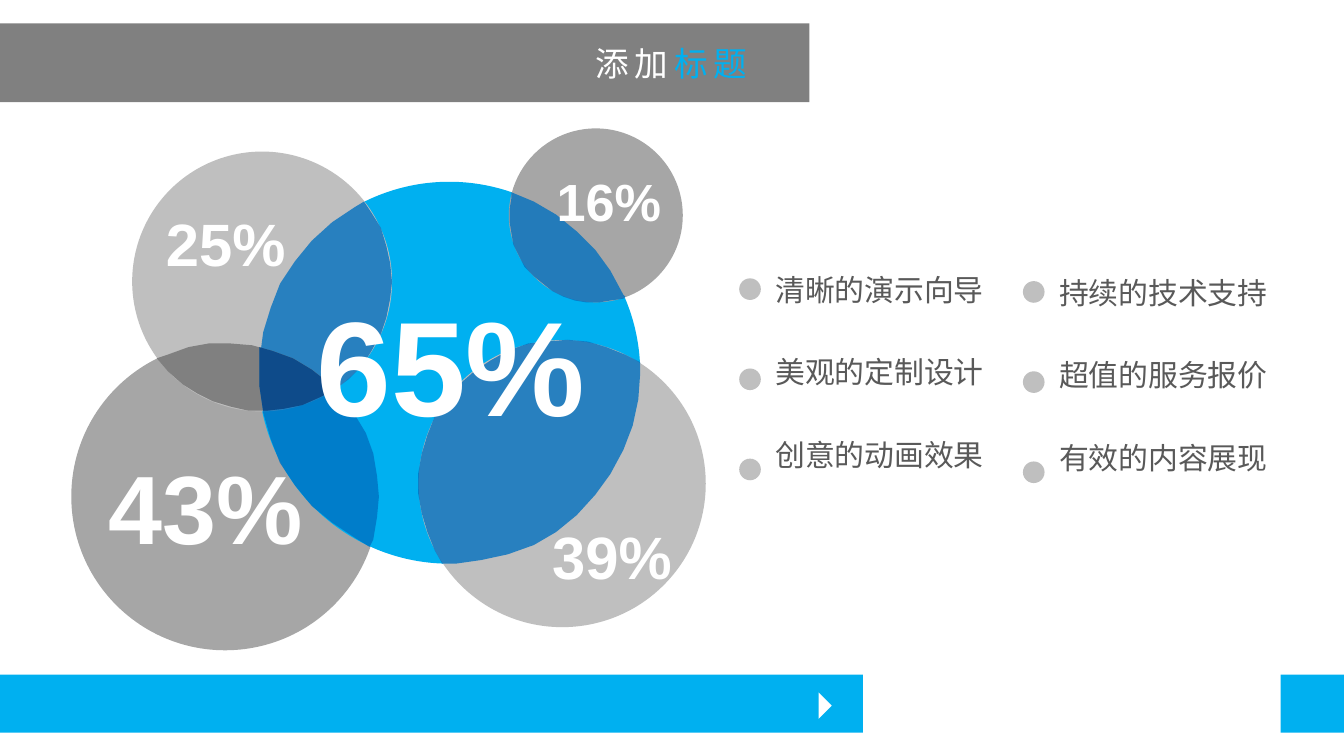
from collections import namedtuple
from itertools import combinations
from math import atan2, cos, hypot, radians, sin, sqrt

from lxml import etree
from pptx import Presentation
from pptx.dml.color import RGBColor
from pptx.enum.shapes import MSO_SHAPE
from pptx.enum.text import MSO_ANCHOR, MSO_AUTO_SIZE, PP_ALIGN
from pptx.oxml.ns import qn
from pptx.util import Pt

RECTANGLE = MSO_SHAPE.RECTANGLE
OVAL = MSO_SHAPE.OVAL
RIGHT_TRIANGLE = MSO_SHAPE.RIGHT_TRIANGLE
TOP = MSO_ANCHOR.TOP
MIDDLE = MSO_ANCHOR.MIDDLE
NO_AUTOFIT = MSO_AUTO_SIZE.NONE
CENTER = PP_ALIGN.CENTER
JUSTIFY = PP_ALIGN.JUSTIFY

WHITE = RGBColor(0xFF, 0xFF, 0xFF)
SKY = RGBColor(0x00, 0xB0, 0xF0)
BLUE = RGBColor(0x00, 0x70, 0xC0)
NAVY = RGBColor(0x00, 0x20, 0x60)
DARK_GRAY = RGBColor(0x80, 0x80, 0x80)
GRAY = RGBColor(0xA6, 0xA6, 0xA6)
LIGHT_GRAY = RGBColor(0xBF, 0xBF, 0xBF)
TEXT_GRAY = RGBColor(0x59, 0x59, 0x59)

LATIN_FONT = "Arial"
CHINESE_FONT = "Noto Sans CJK SC"

Circle = namedtuple("Circle", "x y radius")
CIRCLE_43 = Circle(120.6, 266, 82.4)
CIRCLE_65 = Circle(240.7, 199.7, 102.3)
CIRCLE_39 = Circle(301.2, 259.1, 76.9)
CIRCLE_16 = Circle(319.2, 115.4, 46.6)
CIRCLE_25 = Circle(140.4, 150.8, 69.6)
ARC_STEP = 8

PERCENTAGES = [
    ("43%", 52, 33.1, 236.2, 154.1, 69.1),
    ("16%", 28, 284.4, 87.1, 83.5, 38.9),
    ("39%", 32, 275, 275, 105.8, 46.1),
    ("25%", 32, 73.4, 107.3, 95, 43.9),
    ("65%", 72, 154.8, 147.6, 173.5, 94.3),
]

COLUMNS = [
    (396, 141.8, ["清晰的演示向导", "美观的定制设计", "创意的动画效果"]),
    (548, 143.3, ["持续的技术支持", "超值的服务报价", "有效的内容展现"]),
]
ROW_PITCH = 48.3
DOT_SIZE = 11.6


def paint(shape, color, opacity=100):
    shape.shadow.inherit = False
    shape.fill.solid()
    shape.fill.fore_color.rgb = color
    shape.line.fill.background()
    if opacity < 100:
        fill_color = shape.element.spPr.find(qn("a:solidFill"))[0]
        alpha = etree.SubElement(fill_color, qn("a:alpha"))
        alpha.set("val", str(opacity * 1000))


def add_block(slide, kind, left, top, width, height, color):
    shape = slide.shapes.add_shape(kind, Pt(left), Pt(top), Pt(width), Pt(height))
    paint(shape, color)
    return shape


def add_circle(slide, circle, color):
    size = 2 * circle.radius
    left, top = circle.x - circle.radius, circle.y - circle.radius
    add_block(slide, OVAL, left, top, size, size, color)


def arc_points(circle):
    for degrees in range(0, 360, ARC_STEP):
        angle = radians(degrees)
        yield (
            circle.x + circle.radius * cos(angle),
            circle.y + circle.radius * sin(angle),
        )


def crossings(first, second):
    dx, dy = second.x - first.x, second.y - first.y
    distance = hypot(dx, dy)
    along = (first.radius**2 - second.radius**2 + distance**2) / (2 * distance)
    across = sqrt(first.radius**2 - along**2)
    for side in (across, -across):
        yield (
            first.x + (along * dx - side * dy) / distance,
            first.y + (along * dy + side * dx) / distance,
        )


def overlap_outline(circles):
    candidates = [((c,), point) for c in circles for point in arc_points(c)]
    for pair in combinations(circles, 2):
        candidates += [(pair, point) for point in crossings(*pair)]
    points = [
        (x, y)
        for owners, (x, y) in candidates
        if all(
            hypot(x - c.x, y - c.y) <= c.radius for c in circles if c not in owners
        )
    ]
    middle_x = sum(x for x, y in points) / len(points)
    middle_y = sum(y for x, y in points) / len(points)
    return sorted(points, key=lambda p: atan2(p[1] - middle_y, p[0] - middle_x))


def add_overlap(slide, circles, color, opacity=100):
    start, *rest = overlap_outline(circles)
    builder = slide.shapes.build_freeform(*start, scale=Pt(1))
    builder.add_line_segments(rest, close=True)
    paint(builder.convert_to_shape(), color, opacity)


def add_run(paragraph, text, font_name, size, color, bold=False, spacing=0):
    run = paragraph.add_run()
    run.text = text
    run.font.name = font_name
    run.font.size = Pt(size)
    run.font.bold = bold
    run.font.color.rgb = color
    properties = run.font._element
    east_asian = etree.SubElement(properties, qn("a:ea"))
    east_asian.set("typeface", font_name)
    properties.find(qn("a:latin")).addnext(east_asian)
    if spacing:
        properties.set("spc", str(spacing * 100))


def place(shape, left, top, width, height, anchor):
    shape.left, shape.top = Pt(left), Pt(top)
    shape.width, shape.height = Pt(width), Pt(height)
    frame = shape.text_frame
    frame.word_wrap = True
    frame.auto_size = NO_AUTOFIT
    frame.vertical_anchor = anchor
    return frame


def add_title(slide):
    add_block(slide, RECTANGLE, 0, 12.5, 433.7, 42.3, DARK_GRAY)
    title = slide.shapes.title
    slide.shapes.element.append(title.element)
    paragraph = place(title, 273.6, 19.4, 172.1, 28.8, MIDDLE).paragraphs[0]
    paragraph.alignment = CENTER
    for text, color in (("添加", WHITE), ("标题", SKY)):
        add_run(paragraph, text, CHINESE_FONT, 18, color, spacing=3)


def add_percentage(slide, text, size, *bounds):
    box = slide.shapes.add_textbox(0, 0, 0, 0)
    paragraph = place(box, *bounds, TOP).paragraphs[0]
    paragraph.alignment = CENTER
    add_run(paragraph, text, LATIN_FONT, size, WHITE, bold=True)


def add_list(slide, placeholder, left, top, items):
    frame = place(placeholder, left + 12.2, top, 157, 124, TOP)
    for index, item in enumerate(items):
        paragraph = frame.paragraphs[0] if index == 0 else frame.add_paragraph()
        properties = paragraph._p.get_or_add_pPr()
        properties.set("marL", "0")
        properties.set("indent", "0")
        etree.SubElement(properties, qn("a:buNone"))
        paragraph.alignment = JUSTIFY
        paragraph.line_spacing = 1.0
        paragraph.space_before = Pt(0)
        paragraph.space_after = Pt(25)
        add_run(paragraph, item, CHINESE_FONT, 16, TEXT_GRAY)
        dot_top = top + 7.3 + index * ROW_PITCH
        add_block(slide, OVAL, left, dot_top, DOT_SIZE, DOT_SIZE, LIGHT_GRAY)


def add_footer(slide):
    add_block(slide, RECTANGLE, 0, 361.5, 462.3, 31, SKY)
    arrow = add_block(slide, RIGHT_TRIANGLE, 433.5, 373, 10, 10, WHITE)
    arrow.rotation = 225
    add_block(slide, RECTANGLE, 686, 361.5, 34, 31, SKY)


def add_circles(slide):
    add_circle(slide, CIRCLE_43, GRAY)
    add_circle(slide, CIRCLE_65, SKY)
    grays = [(CIRCLE_39, LIGHT_GRAY), (CIRCLE_16, GRAY), (CIRCLE_25, LIGHT_GRAY)]
    for circle, color in grays:
        add_circle(slide, circle, color)
        add_overlap(slide, [circle, CIRCLE_65], BLUE, 79)
    add_overlap(slide, [CIRCLE_25, CIRCLE_43], DARK_GRAY)
    add_overlap(slide, [CIRCLE_43, CIRCLE_65], BLUE, 79)
    add_overlap(slide, [CIRCLE_25, CIRCLE_43, CIRCLE_65], NAVY, 48)


def main():
    presentation = Presentation()
    presentation.slide_width, presentation.slide_height = Pt(720), Pt(405)
    slide = presentation.slides.add_slide(presentation.slide_layouts[3])
    add_footer(slide)
    add_title(slide)
    add_circles(slide)
    for percentage in PERCENTAGES:
        add_percentage(slide, *percentage)
    for index, column in enumerate(COLUMNS, start=1):
        add_list(slide, slide.placeholders[index], *column)
    presentation.save("out.pptx")


if __name__ == "__main__":
    main()
